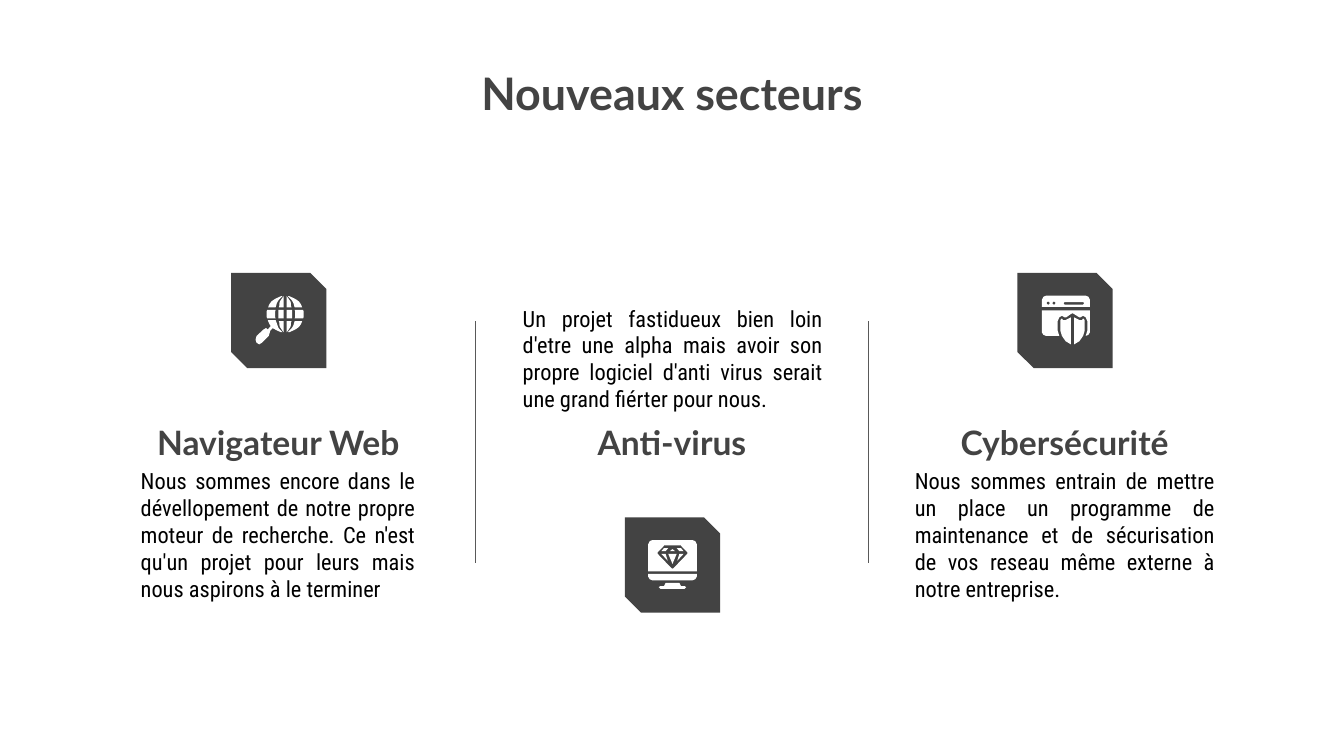
import math
from lxml import etree
from pptx import Presentation, util as u
from pptx.dml.color import RGBColor
from pptx.enum import shapes, text
from pptx.oxml.ns import qn

COLORS = {"dark": "434343", "body": "000000", "rule": "595959", "icon": "FFFFFF"}


def put_text(box, words, size, font="Lato", color="dark", bold=True,
             align=text.PP_ALIGN.CENTER, anchor=text.MSO_ANCHOR.TOP):
    frame = box.text_frame
    frame.word_wrap = True
    frame.auto_size = text.MSO_AUTO_SIZE.NONE
    frame.vertical_anchor = anchor
    frame.margin_left = frame.margin_right = u.Cm(0.25)
    frame.margin_top = frame.margin_bottom = u.Cm(0.25)
    frame.text = words
    line = frame.paragraphs[0]
    line.alignment = align
    style = line.runs[0].font
    style.name, style.size, style.bold = font, u.Pt(size), bold
    style.color.rgb = RGBColor.from_string(COLORS[color])


def paint(part, color):
    part.fill.solid()
    part.fill.fore_color.rgb = RGBColor.from_string(COLORS[color])
    part.line.fill.background()
    part.shadow.inherit = False


deck = Presentation()
deck.slide_width, deck.slide_height = u.Cm(25.4), u.Cm(14.29)
slide = deck.slides.add_slide(deck.slide_layouts[5])

title = slide.shapes.title
title.left, title.top, title.width, title.height = u.Cm(5.46), u.Cm(1), u.Cm(14.48), u.Cm(2.6)
put_text(title, "Nouveaux secteurs", 24)

# Icon outlines are in hundredths of a centimetre from the badge corner.
globe = [[[(69, 89), (76, 99), (69, 107), (66, 104), (61, 107), (48, 119), (46, 126),
           (48, 132), (53, 135), (58, 132), (71, 119), (74, 109), (79, 104), (91, 109),
           (84, 89)]]]
radius = 35
for side in (-1, 1):
    for top, bottom in ((-34, -13), (-8, 8), (13, 34)):
        for outer, inner in ((35, 19), (13, 0)):
            heights = [top + (bottom - top) * step / 6 for step in range(7)]
            arcs = [[(102 + side * max(3, reach * math.sqrt(1 - (y / radius) ** 2)), 78 + y)
                     for y in heights] for reach in (outer, inner)]
            globe.append([arcs[0] + arcs[1][::-1]])

facet = [(74, 58), (69, 64), (77, 64), (82, 58)]
lower_facet = [(69, 69), (81, 82), (77, 69)]
monitor = [
    [[(44, 102), (44, 51), (47, 45), (52, 43), (128, 43), (133, 45), (136, 51), (136, 102)],
     [(74, 53), (106, 53), (108, 56), (118, 66), (118, 69), (92, 96), (90, 97), (88, 96),
      (62, 69), (62, 66), (72, 56)]],
    [[(90, 60), (85, 64), (95, 64)]],
    [[(82, 69), (90, 88), (98, 69)]],
    [[(44, 107), (44, 112), (47, 117), (52, 119), (128, 119), (133, 117), (136, 112), (136, 107)]],
    [[(77, 124), (74, 130), (67, 130), (64, 132), (67, 135), (113, 135), (116, 132),
      (113, 130), (106, 130), (103, 124)]],
]
for half in (facet, lower_facet):
    monitor += [[half], [[(180 - x, y) for x, y in half]]]

dots = [[(center + 3 * math.cos(k * math.pi / 4), 57 + 3 * math.sin(k * math.pi / 4))
         for k in range(8)] for center in (58, 69)]
half_shield = [(101, 84), (91, 89), (86, 89), (84, 86), (81, 89), (81, 109), (84, 119),
               (91, 129), (101, 135)]
browser = [
    [[(46, 64), (46, 51), (49, 45), (54, 43), (129, 43), (134, 45), (137, 51), (137, 64)],
     *dots, [(89, 55), (124, 55), (126, 57), (124, 60), (89, 60), (87, 57)]],
    [[(46, 71), (46, 112), (49, 117), (54, 119), (79, 119), (76, 109), (76, 91), (79, 84),
      (84, 81), (89, 84), (92, 84), (99, 79), (104, 76), (109, 79), (117, 84), (119, 84),
      (124, 81), (129, 84), (132, 91), (132, 109), (129, 119), (134, 117), (137, 112), (137, 71)]],
    [half_shield],
    [[(208 - x, y) for x, y in half_shield]],
]

sectors = [
    ("Navigateur Web", 1.55, 2.41, 8.59, 5.69, 4.37, 5.16, globe,
     "Nous sommes encore dans le dévellopement de notre propre moteur de recherche. "
     "Ce n'est qu'un projet pour leurs mais nous aspirons à le terminer"),
    ("Anti-virus", 8.99, 9.63, 5.51, 6.17, 11.81, 9.78, monitor,
     "Un projet fastidueux bien loin d'etre une alpha mais avoir son propre logiciel "
     "d'anti virus serait une grand fiérter pour nous. "),
    ("Cybersécurité", 16.41, 17.04, 8.59, 6.17, 19.23, 5.16, browser,
     "Nous sommes entrain de mettre un place un programme de maintenance et de "
     "sécurisation de vos reseau même externe à notre entreprise."),
]
for name, name_x, story_x, story_y, story_width, badge_x, badge_y, icon, story in sectors:
    heading = slide.shapes.add_textbox(u.Cm(name_x), u.Cm(7.8), u.Cm(7.42), u.Cm(1.19))
    put_text(heading, name, 18, anchor=text.MSO_ANCHOR.BOTTOM)
    description = slide.shapes.add_textbox(
        u.Cm(story_x), u.Cm(story_y), u.Cm(story_width), u.Cm(2.79))
    put_text(description, story, 12, font="Roboto Condensed", color="body", bold=False,
             align=text.PP_ALIGN.JUSTIFY)

    emblem = slide.shapes.add_group_shape().shapes
    badge = emblem.add_shape(shapes.MSO_SHAPE.SNIP_2_DIAG_RECTANGLE,
                             u.Cm(badge_x), u.Cm(badge_y), u.Cm(1.8), u.Cm(1.8))
    badge.adjustments[0], badge.adjustments[1] = 0, 0.17
    paint(badge, "dark")
    for contours in icon:
        outline = emblem.build_freeform(*contours[0][0], scale=u.Cm(0.01))
        outline.add_line_segments(contours[0][1:], close=True)
        for hole in contours[1:]:
            outline.move_to(*hole[0])
            outline.add_line_segments(hole[1:], close=True)
        paint(outline.convert_to_shape(u.Cm(badge_x), u.Cm(badge_y)), "icon")

for divider_x in (8.99, 16.41):
    divider = slide.shapes.add_connector(
        shapes.MSO_CONNECTOR.STRAIGHT, u.Cm(divider_x), u.Cm(6.07), u.Cm(divider_x), u.Cm(10.64))
    divider.line.color.rgb = RGBColor.from_string(COLORS["rule"])
    divider.line.width = u.Pt(0.75)
    etree.SubElement(divider._element.spPr, qn("a:effectLst"))

deck.save("out.pptx")
